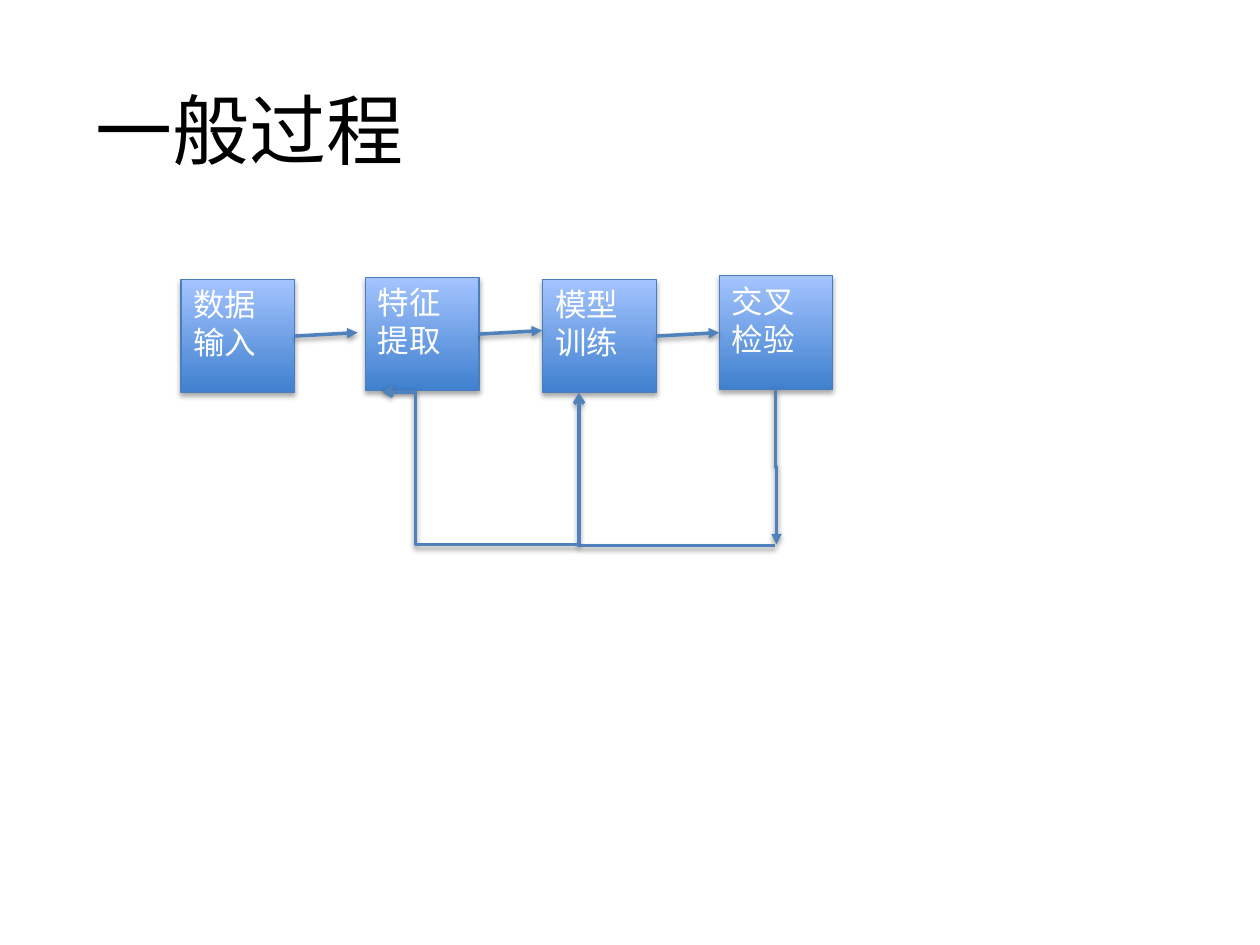
"""Build the slide that shows the general modelling process as a flow chart."""
from dataclasses import dataclass

from lxml import etree
from pptx import Presentation
from pptx.dml.color import RGBColor
from pptx.enum.shapes import MSO_CONNECTOR, MSO_SHAPE
from pptx.enum.text import MSO_ANCHOR, PP_ALIGN
from pptx.oxml.ns import qn
from pptx.shapes.autoshape import Shape
from pptx.shapes.connector import Connector
from pptx.slide import Slide
from pptx.util import Cm, Pt

RECTANGLE = MSO_SHAPE.RECTANGLE
STRAIGHT, ELBOW = MSO_CONNECTOR.STRAIGHT, MSO_CONNECTOR.ELBOW
LEFT, TOP, MIDDLE = PP_ALIGN.LEFT, MSO_ANCHOR.TOP, MSO_ANCHOR.MIDDLE


@dataclass(frozen=True)
class Theme:
    font: str = "Calibri"
    title_size: int = 44
    body_size: int = 18
    title_color: str = "000000"
    box_text: str = "FFFFFF"
    box_bottom: str = "3F80CE"
    box_top: str = "A4C4FF"
    box_line: str = "4B7EBC"
    arrow: str = "4F81BD"
    shadow: str = "000000"
    box_line_width: float = 0.75
    arrow_width: float = 2


@dataclass(frozen=True)
class Step:
    label: str
    left: float
    top: float


@dataclass(frozen=True)
class Arrow:
    start: tuple[float, float]
    end: tuple[float, float]
    kind: int = STRAIGHT
    head: str = "triangle"
    bend: float = 0.5
    turned: bool = False


THEME = Theme()
BOX_SIZE = 2.29
STEPS = (
    Step("数据输入", 3.65, 5.63),
    Step("特征提取", 7.37, 5.59),
    Step("模型训练", 10.94, 5.63),
    Step("交叉检验", 14.5, 5.56),
)
ARROW_RUN, ARROW_RISE = 1.27, 0.07
FEEDBACK = (
    Arrow((14.08, 9.4), (17.21, 9.42), ELBOW, turned=True),
    Arrow((15.63, 11), (11.67, 7.92), ELBOW, "arrow", 0.998),
    Arrow((11.67, 10.98), (7.7, 7.9), ELBOW, "arrow", 0.829),
)


def format_text(shape: Shape, text: str, size: int, color: str, anchor: int) -> None:
    """Fill a shape with left-aligned text."""
    frame = shape.text_frame
    frame.text = text
    frame.word_wrap = True
    frame.vertical_anchor = anchor
    para = frame.paragraphs[0]
    para.alignment = LEFT
    font = para.runs[0].font
    font.name, font.size = THEME.font, Pt(size)
    font.color.rgb = RGBColor.from_string(color)


def add_shadow(effects: etree._Element, alpha: int, distance: float) -> None:
    """Add a soft downward shadow to an effect list."""
    shadow = etree.SubElement(
        effects, qn("a:outerShdw"), blurRad=str(Pt(3.1)), dist=str(Pt(distance)),
        dir="5400000", rotWithShape="0")
    color = etree.SubElement(shadow, qn("a:srgbClr"), val=THEME.shadow)
    etree.SubElement(color, qn("a:alpha"), val=str(alpha * 1000))


def add_step(slide: Slide, step: Step) -> Shape:
    """Draw one process step as a gradient box."""
    box = slide.shapes.add_shape(
        RECTANGLE, Cm(step.left), Cm(step.top), Cm(BOX_SIZE), Cm(BOX_SIZE))
    box.fill.gradient()
    box.fill.gradient_angle = 90
    for stop, color, position in zip(
            box.fill.gradient_stops, (THEME.box_bottom, THEME.box_top), (0, 1)):
        stop.color.rgb = RGBColor.from_string(color)
        stop.position = position
    box.line.color.rgb = RGBColor.from_string(THEME.box_line)
    box.line.width = Pt(THEME.box_line_width)
    box.shadow.inherit = False
    add_shadow(box.element.spPr.find(qn("a:effectLst")), 35, 1.8)
    format_text(box, step.label, THEME.body_size, THEME.box_text, TOP)
    return box


def add_arrow(slide: Slide, arrow: Arrow) -> Connector:
    """Draw a straight or bent arrow."""
    connector = slide.shapes.add_connector(
        arrow.kind, *(Cm(value) for value in arrow.start + arrow.end))
    connector.line.color.rgb = RGBColor.from_string(THEME.arrow)
    connector.line.width = Pt(THEME.arrow_width)
    properties = connector.element.spPr
    etree.SubElement(properties.find(qn("a:ln")), qn("a:tailEnd"), type=arrow.head)
    if arrow.kind == ELBOW:
        geometry = properties.find(qn("a:prstGeom"))
        guides = geometry.find(qn("a:avLst"))
        if guides is None:
            guides = etree.SubElement(geometry, qn("a:avLst"))
        etree.SubElement(guides, qn("a:gd"), name="adj1",
                         fmla=f"val {round(arrow.bend * 100000)}")
    if arrow.turned:
        frame = properties.find(qn("a:xfrm"))
        frame.set("rot", "16200000")
        frame.set("flipH", "1")
    add_shadow(etree.SubElement(properties, qn("a:effectLst")), 38, 1.6)
    return connector


def main() -> None:
    """Build and save the deck."""
    deck = Presentation()
    deck.slide_width, deck.slide_height = Cm(25.4), Cm(19.05)
    slide = deck.slides.add_slide(deck.slide_layouts[0])
    subtitle = slide.placeholders[1].element
    subtitle.getparent().remove(subtitle)
    title = slide.shapes.title
    title.left, title.top, title.width, title.height = map(Cm, (1.68, 0.97, 21.59, 3.23))
    format_text(title, "一般过程", THEME.title_size, THEME.title_color, MIDDLE)
    for step in STEPS:
        add_step(slide, step)
    for arrow in FEEDBACK:
        add_arrow(slide, arrow)
    for step in STEPS[:-1]:
        right, middle = step.left + BOX_SIZE, step.top + BOX_SIZE / 2
        add_arrow(slide, Arrow((right, middle), (right + ARROW_RUN, middle - ARROW_RISE)))
    deck.save("out.pptx")


if __name__ == "__main__":
    main()
